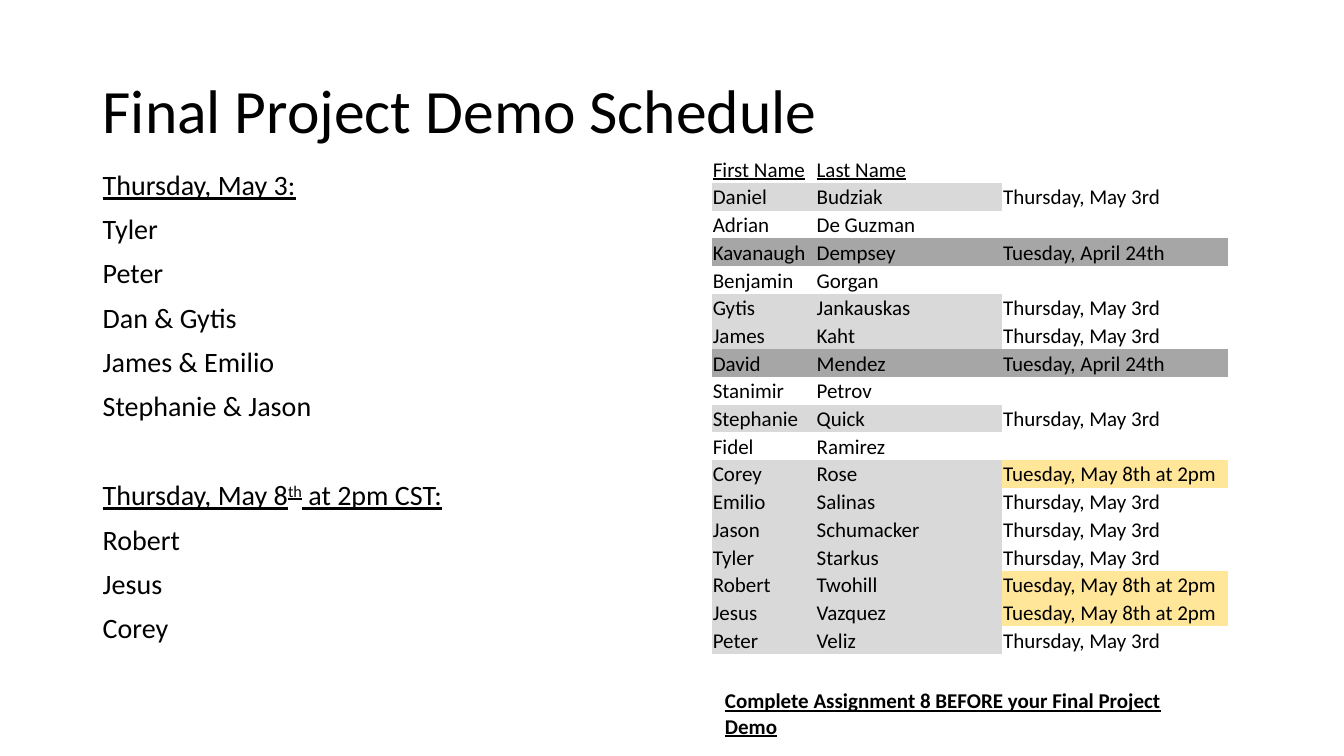
from dataclasses import dataclass
from typing import Optional

import pptx
import pptx.dml.color
import pptx.enum.text
import pptx.oxml.ns
import pptx.util
from lxml import etree
from pptx.dml.color import RGBColor
from pptx.util import Inches

FONT = "Calibri"
BLACK = RGBColor(0x00, 0x00, 0x00)
LIGHT_GRAY = RGBColor(0xD9, 0xD9, 0xD9)
DARK_GRAY = RGBColor(0xA6, 0xA6, 0xA6)
YELLOW = RGBColor(0xFF, 0xE6, 0x99)

NO_TABLE_STYLE = "{2D5ABB26-0587-4C30-8999-92F81FD0307C}"
COLUMN_WIDTHS = (1.03, 1.85, 2.24)
ROW_HEIGHT = 4.95 / 18
NOTE_HEIGHT = 0.64
TABLE_TEXT_SIZE = 15
CELL_MARGINS = (0.01, 0.01, 0.01, 0)
NOTE_MARGINS = (0.13, 0.07, 0.13, 0.07)

APRIL_24 = "Tuesday, April 24th"
MAY_3 = "Thursday, May 3rd"
MAY_8 = "Tuesday, May 8th at 2pm"
NOTE = "Complete Assignment 8 BEFORE your Final Project Demo"


@dataclass(frozen=True)
class TextRun:
    text: str
    size: float
    underline: bool = False
    bold: bool = False
    superscript: bool = False


@dataclass(frozen=True)
class Student:
    first_name: str
    last_name: str
    date: str = ""


@dataclass(frozen=True)
class Session:
    heading: tuple[TextRun, ...]
    presenters: tuple[str, ...]


@dataclass(frozen=True)
class DateFills:
    name: Optional[RGBColor] = None
    date: Optional[RGBColor] = None


FILLS = {
    "": DateFills(),
    APRIL_24: DateFills(DARK_GRAY, DARK_GRAY),
    MAY_3: DateFills(LIGHT_GRAY),
    MAY_8: DateFills(LIGHT_GRAY, YELLOW),
}

STUDENTS = (
    Student("Daniel", "Budziak", MAY_3),
    Student("Adrian", "De Guzman"),
    Student("Kavanaugh", "Dempsey", APRIL_24),
    Student("Benjamin", "Gorgan"),
    Student("Gytis", "Jankauskas", MAY_3),
    Student("James", "Kaht", MAY_3),
    Student("David", "Mendez", APRIL_24),
    Student("Stanimir", "Petrov"),
    Student("Stephanie", "Quick", MAY_3),
    Student("Fidel", "Ramirez"),
    Student("Corey", "Rose", MAY_8),
    Student("Emilio", "Salinas", MAY_3),
    Student("Jason", "Schumacker", MAY_3),
    Student("Tyler", "Starkus", MAY_3),
    Student("Robert", "Twohill", MAY_8),
    Student("Jesus", "Vazquez", MAY_8),
    Student("Peter", "Veliz", MAY_3),
)

SESSIONS = (
    Session(
        (TextRun("Thursday, May 3:", 20, underline=True),),
        ("Tyler", "Peter", "Dan & Gytis", "James & Emilio", "Stephanie & Jason"),
    ),
    Session(
        (
            TextRun("Thursday, May 8", 20, underline=True),
            TextRun("th", 20, underline=True, superscript=True),
            TextRun(" at 2pm CST:", 20, underline=True),
        ),
        ("Robert", "Jesus", "Corey"),
    ),
)


def add_run(paragraph, text_run: TextRun) -> None:
    run = paragraph.add_run()
    run.text = text_run.text
    run.font.name = FONT
    run.font.size = pptx.util.Pt(text_run.size)
    run.font.color.rgb = BLACK
    run.font.underline = text_run.underline
    run.font.bold = text_run.bold
    if text_run.superscript:
        run.font._element.set("baseline", "30000")


def add_text_frame(slide, left: float, top: float, width: float, height: float, anchor):
    shape = slide.shapes.add_textbox(Inches(left), Inches(top), Inches(width), Inches(height))
    shape.text_frame.word_wrap = True
    shape.text_frame.vertical_anchor = anchor
    return shape.text_frame


def add_title(slide) -> None:
    frame = add_text_frame(slide, 0.92, 0.4, 11.5, 1.45, pptx.enum.text.MSO_ANCHOR.MIDDLE)
    paragraph = frame.paragraphs[0]
    paragraph.line_spacing = 0.9
    add_run(paragraph, TextRun("Final Project Demo Schedule", 44))


def add_sessions(slide) -> None:
    frame = add_text_frame(slide, 0.92, 1.65, 3.98, 5.11, pptx.enum.text.MSO_ANCHOR.TOP)
    paragraph = frame.paragraphs[0]
    for index, session in enumerate(SESSIONS):
        if index:
            paragraph = frame.add_paragraph()
            paragraph.space_before = pptx.util.Pt(42)
        paragraph.line_spacing = 0.9
        for text_run in session.heading:
            add_run(paragraph, text_run)
        for presenter in session.presenters:
            paragraph = frame.add_paragraph()
            paragraph.line_spacing = 0.9
            paragraph.space_before = pptx.util.Pt(10)
            add_run(paragraph, TextRun(presenter, 20))


def fill_cell(
    cell,
    text: str = "",
    fill: Optional[RGBColor] = None,
    underline: bool = False,
    bold: bool = False,
    margins: tuple[float, float, float, float] = CELL_MARGINS,
) -> None:
    cell.margin_left, cell.margin_top, cell.margin_right, cell.margin_bottom = map(Inches, margins)
    cell.vertical_anchor = pptx.enum.text.MSO_ANCHOR.BOTTOM
    if fill is None:
        cell.fill.background()
    else:
        cell.fill.solid()
        cell.fill.fore_color.rgb = fill
    paragraph = cell.text_frame.paragraphs[0]
    if text:
        add_run(paragraph, TextRun(text, TABLE_TEXT_SIZE, underline, bold))
    else:
        ending = etree.SubElement(paragraph._p, pptx.oxml.ns.qn("a:endParaRPr"))
        ending.set("sz", str(TABLE_TEXT_SIZE * 100))


def add_student_table(slide) -> None:
    row_count = len(STUDENTS) + 3
    height = ROW_HEIGHT * (row_count - 1) + NOTE_HEIGHT
    table = slide.shapes.add_table(
        row_count, len(COLUMN_WIDTHS), Inches(7.06), Inches(1.54),
        Inches(sum(COLUMN_WIDTHS)), Inches(height),
    ).table
    table.first_row = False
    table.horz_banding = False
    table._tbl.tblPr.find(pptx.oxml.ns.qn("a:tableStyleId")).text = NO_TABLE_STYLE
    for column, width in zip(table.columns, COLUMN_WIDTHS):
        column.width = Inches(width)
    for row in table.rows:
        row.height = Inches(ROW_HEIGHT)
    note_row = row_count - 1
    table.rows[note_row].height = Inches(NOTE_HEIGHT)

    for column, heading in enumerate(("First Name", "Last Name", "")):
        fill_cell(table.cell(0, column), heading, underline=True)
        fill_cell(table.cell(note_row - 1, column))
    for row, student in enumerate(STUDENTS, start=1):
        fills = FILLS[student.date]
        fill_cell(table.cell(row, 0), student.first_name, fills.name)
        fill_cell(table.cell(row, 1), student.last_name, fills.name)
        fill_cell(table.cell(row, 2), student.date, fills.date)
    note_cell = table.cell(note_row, 0)
    note_cell.merge(table.cell(note_row, len(COLUMN_WIDTHS) - 1))
    fill_cell(note_cell, NOTE, underline=True, bold=True, margins=NOTE_MARGINS)


def main() -> None:
    presentation = pptx.Presentation()
    presentation.slide_width = Inches(13.33)
    presentation.slide_height = Inches(7.5)
    slide = presentation.slides.add_slide(presentation.slide_layouts[6])
    add_title(slide)
    add_sessions(slide)
    add_student_table(slide)
    presentation.save("out.pptx")


if __name__ == "__main__":
    main()
